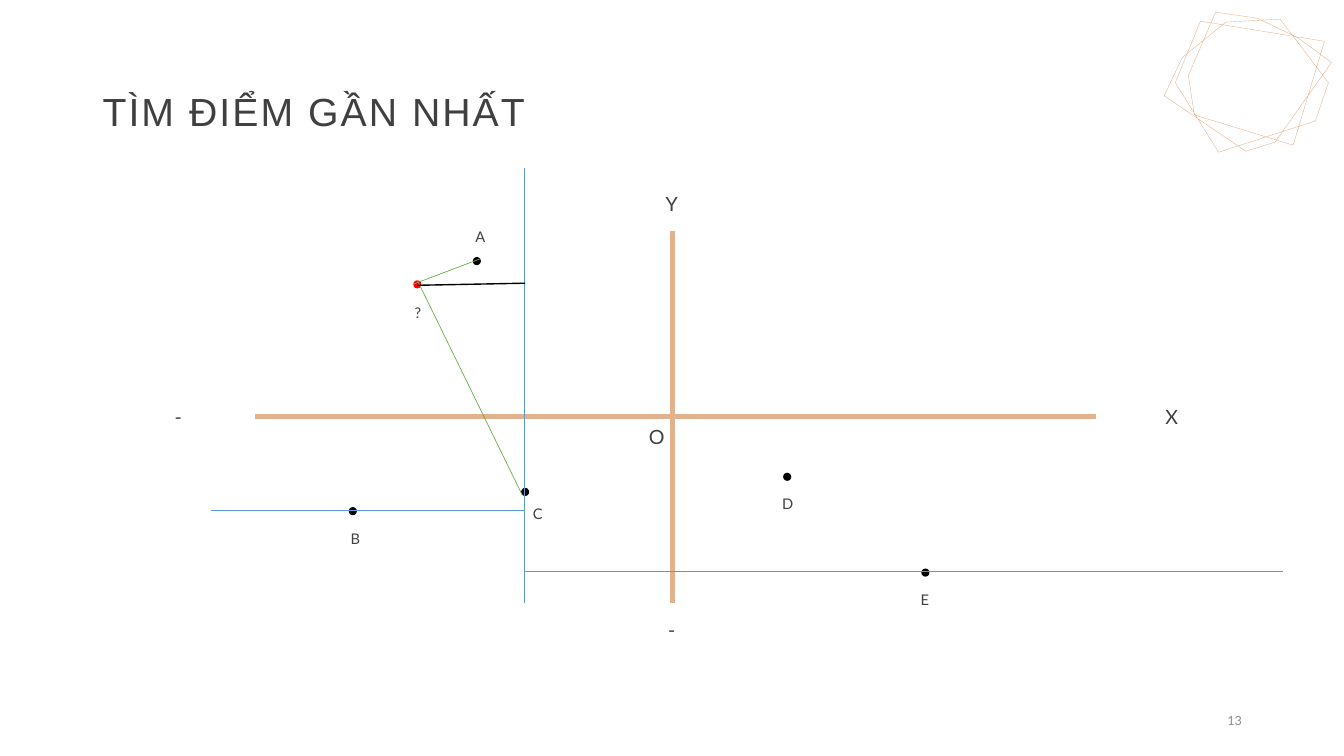
import pptx
import pptx.util
import pptx.dml.color
import pptx.enum.shapes
import pptx.enum.text
import pptx.oxml
import pptx.oxml.ns

Pt = pptx.util.Pt
ALIGN = pptx.enum.text.PP_ALIGN
AXIS, SPLIT, DISTANCE = "E2B18D", "5B9BD5", "70AD47"

deck = pptx.Presentation()
deck.slide_width, deck.slide_height = Pt(960), Pt(540)
slide = deck.slides.add_slide(deck.slide_layouts[6])


def color(value):
    return pptx.dml.color.RGBColor.from_string(value)


def add_text(text, left, top, width, height, size=10.5, font="Lato", ink="404040",
             align=ALIGN.CENTER, before=10, line_spacing=1.0, tracking=0):
    box = slide.shapes.add_textbox(Pt(left), Pt(top), Pt(width), Pt(height))
    frame = box.text_frame
    frame.word_wrap = True
    frame.vertical_anchor = pptx.enum.text.MSO_ANCHOR.MIDDLE
    paragraph = frame.paragraphs[0]
    paragraph.alignment = align
    paragraph.space_before = Pt(before)
    paragraph.line_spacing = line_spacing
    run = paragraph.add_run()
    run.text = text
    run.font.size = Pt(size)
    run.font.name = font
    run.font.color.rgb = color(ink)
    if tracking:
        run.font._element.set("spc", str(round(tracking * 100)))


# Title and page number
add_text("TÌM ĐIỂM GẦN NHẤT", 66.2, 28.8, 828, 104.4, size=28, font="Arial",
         align=ALIGN.LEFT, before=0, line_spacing=0.9, tracking=1.5)
add_text("13", 678.2, 500.4, 216, 28.8, size=9, ink="8C8C8C", align=ALIGN.RIGHT, before=0)

# Corner ornament, in hundredths of an inch
ornament = [
    (1216, 22), (1178, 53), (1173, 57), (1155, 95), (1236, 150), (1265, 141), (1292, 103),
    (1321, 62), (1287, 37), (1247, 18), (1206, 12), (1179, 75), (1185, 114), (1283, 144),
    (1314, 41), (1191, 21), (1166, 82), (1209, 151), (1305, 120), (1318, 82), (1270, 19),
]
builder = slide.shapes.build_freeform(*ornament[0], scale=Pt(0.72))
builder.add_line_segments(ornament[1:], close=True)
polygons = builder.convert_to_shape()
polygons.shadow.inherit = False
polygons.fill.background()
polygons.line.color.rgb = color(AXIS)
polygons.line.width = Pt(0.25)

# Axis labels: text, left, top, width
axis_labels = [
    ("Y", 412.6, 126, 134.6),
    ("-", 412.6, 430.6, 134.6),
    ("X", 782.6, 277.9, 108.7),
    ("-", 72.7, 277.9, 109.4),
    ("O", 401.8, 292.3, 134.6),
]
for text, left, top, width in axis_labels:
    add_text(text, left, top, width, 38.9, size=14)

# Lines: start, end, colour, width
axes = [
    (182.2, 297.4, 782.6, 297.4, AXIS, 3.5),
    (480.2, 430.6, 480.2, 164.9, AXIS, 3.5),
]
splits_and_distances = [
    (374.4, 430.6, 374.4, 120.2, SPLIT, 0.5),
    (150.5, 364.3, 374.4, 364.3, SPLIT, 0.5),
    (916.6, 408.2, 375.1, 408.2, SPLIT, 0.5),
    (298.1, 200.2, 373, 353.5, DISTANCE, 0.5),
    (295.2, 203, 342.7, 185, DISTANCE, 0.5),
    (298.1, 203.8, 375.1, 202.3, "000000", 1),
]

# Points: name, dot left and top, label left and top, colour
points = [
    ("A", 337.7, 183.6, 296.6, 149.8, "000000"),
    ("B", 249.1, 362.2, 207.4, 365, "000000"),
    ("C", 372.2, 348.5, 337.7, 347.8, "000000"),
    ("D", 559.4, 337.7, 516.2, 340.6, "000000"),
    ("E", 658.1, 406.1, 614.2, 409, "000000"),
    ("?", 295.2, 200.2, 252, 203.8, "FF0000"),
]
for name, dot_left, dot_top, label_left, label_top, fill in points:
    add_text(name, label_left, label_top, 92.9, 38.9)
    dot = slide.shapes.add_shape(pptx.enum.shapes.MSO_SHAPE.OVAL,
                                 Pt(dot_left), Pt(dot_top), Pt(5.8), Pt(5.8))
    dot.shadow.inherit = False
    dot.fill.solid()
    dot.fill.fore_color.rgb = color(fill)
    dot.line.fill.background()

# Draw the axes behind everything, the other lines in front
for order, (x1, y1, x2, y2, stroke, width) in enumerate(axes + splits_and_distances):
    line = slide.shapes.add_connector(pptx.enum.shapes.MSO_CONNECTOR.STRAIGHT,
                                      Pt(x1), Pt(y1), Pt(x2), Pt(y2))
    line.line.color.rgb = color(stroke)
    line.line.width = Pt(width)
    line._element.spPr.append(pptx.oxml.parse_xml(
        f"<a:effectLst {pptx.oxml.ns.nsdecls('a')}/>"))
    if order < len(axes):
        slide.shapes._spTree.insert(2 + order, line._element)

deck.save("out.pptx")
